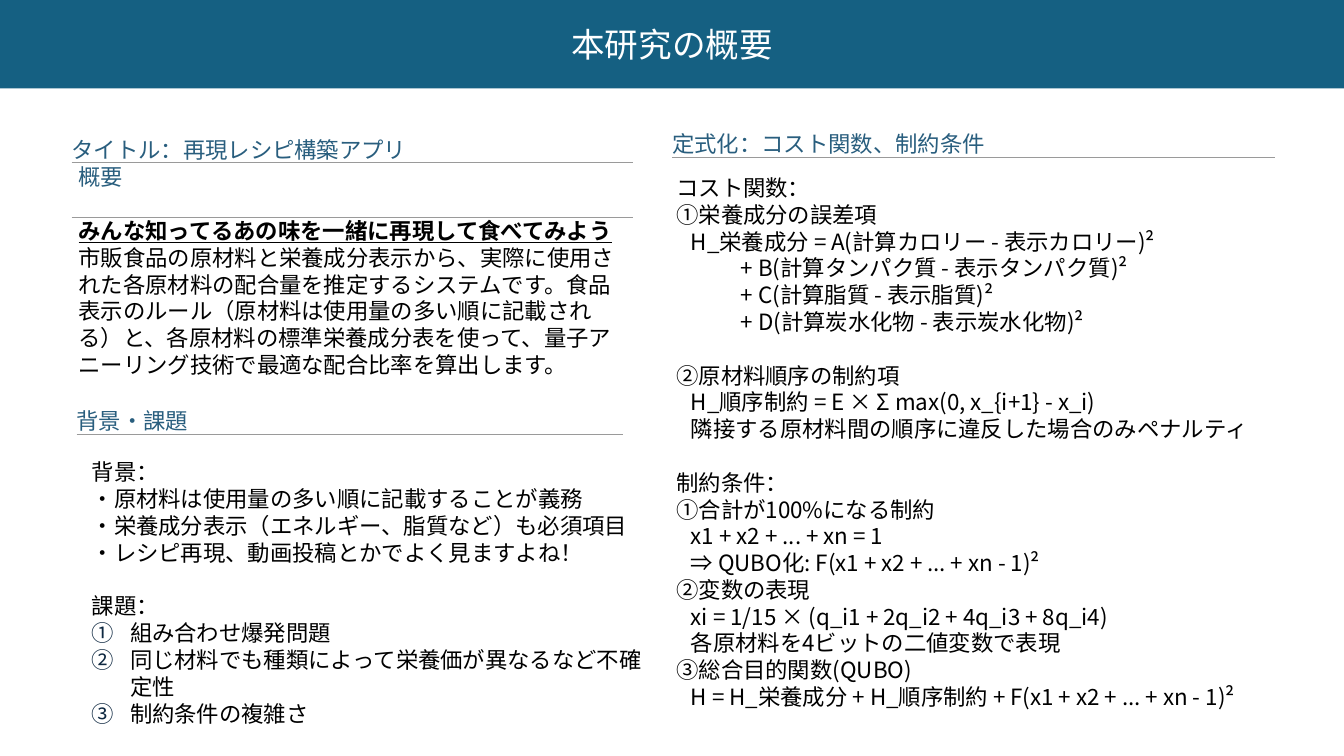
import pptx
import pptx.util
import pptx.dml.color
import pptx.enum.shapes
import pptx.enum.text
import pptx.oxml.ns
from lxml import etree

Pt = pptx.util.Pt
qn = pptx.oxml.ns.qn
Align = pptx.enum.text.PP_ALIGN
Anchor = pptx.enum.text.MSO_ANCHOR

HEX = {"band": "156082", "head": "295E7E", "rule": "9A9A9A",
       "ink": "000000", "mark": "0E2841", "white": "FFFFFF"}
SANS = "Noto Sans CJK JP"
PITCH = 19.15            # line pitch of all 16 pt text
EDGE, STEP, DEEP = 8.64, 19, 54.7   # left indents
HANG = 27.4

# Each entry: text, left indent, gap above in lines
COST = [
    ("コスト関数：", EDGE, 0),
    ("①栄養成分の誤差項", EDGE, 0),
    ("H_栄養成分 = A(計算カロリー - 表示カロリー)²", STEP, 0),
    ("+ B(計算タンパク質 - 表示タンパク質)²", DEEP, 0),
    ("+ C(計算脂質 - 表示脂質)²", DEEP, 0),
    ("+ D(計算炭水化物 - 表示炭水化物)²", DEEP, 0),
    ("②原材料順序の制約項", EDGE, 1),
    ("H_順序制約 = E × Σ max(0, x_{i+1} - x_i)", STEP, 0),
    ("隣接する原材料間の順序に違反した場合のみペナルティ", STEP, 0),
    ("制約条件：", EDGE, 1),
    ("①合計が100%になる制約", EDGE, 0),
    ("x1 + x2 + ... + xn = 1", STEP, 0),
    ("⇒ QUBO化: F(x1 + x2 + ... + xn - 1)²", STEP, 0),
    ("②変数の表現", EDGE, 0),
    ("xi = 1/15 × (q_i1 + 2q_i2 + 4q_i3 + 8q_i4)", STEP, 0),
    ("各原材料を4ビットの二値変数で表現", STEP, 0),
    ("③総合目的関数(QUBO)", EDGE, 0),
    ("H = H_栄養成分 + H_順序制約 + F(x1 + x2 + ... + xn - 1)²", STEP, 0),
]
BACK = [
    ("背景：", EDGE, 0),
    ("・原材料は使用量の多い順に記載することが義務", EDGE, 0),
    ("・栄養成分表示（エネルギー、脂質など）も必須項目", EDGE, 0),
    ("・レシピ再現、動画投稿とかでよく見ますよね！", EDGE, 0),
    ("課題：", EDGE, 1),
]
ISSUES = ["組み合わせ爆発問題",
          "同じ材料でも種類によって栄養価が異なるなど不確定性",
          "制約条件の複雑さ"]
PITCH_TEXT = "みんな知ってるあの味を一緒に再現して食べてみよう"
ABOUT = ("市販食品の原材料と栄養成分表示から、実際に使用された各原材料の配合量を"
         "推定するシステムです。食品表示のルール（原材料は使用量の多い順に記載される）と、"
         "各原材料の標準栄養成分表を使って、量子アニーリング技術で最適な配合比率を算出します。")


def rgb(name):
    return pptx.dml.color.RGBColor.from_string(HEX[name])


def apply(target, **values):
    for key, value in values.items():
        setattr(target, key, value)


def write(para, text, tint="ink", **extra):
    run = para.add_run()
    run.text = text
    form = {"name": SANS, "size": Pt(16), "bold": False} | extra
    apply(run.font, **form)
    run.font.color.rgb = rgb(tint)
    etree.SubElement(run.font._element, qn("a:ea"), typeface=SANS)


def frame(slide, box, anchor=Anchor.TOP):
    text = slide.shapes.add_textbox(*map(Pt, box)).text_frame
    apply(text, word_wrap=True, vertical_anchor=anchor, margin_left=0,
          margin_right=0, margin_top=0, margin_bottom=0)
    return text


def add_line(text, words, left=0, gap=0, **form):
    para = text.paragraphs[0]
    if para.runs:
        para = text.add_paragraph()
    apply(para, line_spacing=Pt(PITCH), space_before=Pt(gap * PITCH),
          space_after=Pt(0))
    para._p.get_or_add_pPr().set("marL", str(int(Pt(left))))
    write(para, words, **form)
    return para


def number(para):
    props = para._p.get_or_add_pPr()
    props.set("indent", str(-int(Pt(HANG))))
    tint = etree.SubElement(props, qn("a:buClr"))
    etree.SubElement(tint, qn("a:srgbClr"), val=HEX["mark"])
    etree.SubElement(props, qn("a:buFont"), typeface=SANS)
    etree.SubElement(props, qn("a:buAutoNum"), type="circleNumDbPlain")


def rule(slide, left, top, width):
    line = slide.shapes.add_connector(
        pptx.enum.shapes.MSO_CONNECTOR.STRAIGHT,
        Pt(left), Pt(top), Pt(left + width), Pt(top))
    line.line.color.rgb = rgb("rule")
    line.line.width = Pt(0.75)
    etree.SubElement(line._element.spPr, qn("a:effectLst"))


def heading(slide, box, words):
    left, top, width, height = box
    add_line(frame(slide, box, Anchor.BOTTOM), words, tint="head")
    rule(slide, left, top + height, width)


def banner(slide, box, words):
    band = slide.shapes.add_shape(
        pptx.enum.shapes.MSO_SHAPE.RECTANGLE, *map(Pt, box))
    band.shadow.inherit = False
    band.fill.solid()
    band.fill.fore_color.rgb = rgb("band")
    band.line.fill.background()
    band.text_frame.vertical_anchor = Anchor.MIDDLE
    para = band.text_frame.paragraphs[0]
    para.alignment = Align.CENTER
    write(para, words, "white", name="Arial", size=Pt(24))


def summary(slide, box):
    left, top, width, height = box
    text = frame(slide, box, Anchor.BOTTOM)
    add_line(text, "概要", tint="head")
    add_line(text, PITCH_TEXT, gap=1, bold=True, underline=True)
    add_line(text, ABOUT)
    rule(slide, left - 5, top + 20.2, width + 10.9)


def details(slide, box, lines, issues=()):
    text = frame(slide, box)
    for words, left, gap in lines:
        add_line(text, words, left, gap)
    for words in issues:
        number(add_line(text, words, EDGE + HANG))


def main():
    deck = pptx.Presentation()
    apply(deck, slide_width=Pt(960), slide_height=Pt(540))
    slide = deck.slides.add_slide(deck.slide_layouts[6])

    # Right column: formulas
    heading(slide, (480.2, 88.5, 430.6, 23.8), "定式化：コスト関数、制約条件")
    details(slide, (474.5, 124.5, 485.5, 415.5), COST)

    # Left column: title, summary, background
    heading(slide, (51.1, 92.3, 401, 23.8), "タイトル：再現レシピ構築アプリ")
    summary(slide, (56.1, 135.3, 390.2, 134.7))
    heading(slide, (54.7, 286.5, 390.2, 23.8), "背景・課題")
    details(slide, (56.9, 327.6, 410.4, 193.7), BACK, ISSUES)

    # Top band
    banner(slide, (0, 0, 960, 63.2), "本研究の概要")
    deck.save("out.pptx")


if __name__ == "__main__":
    main()
